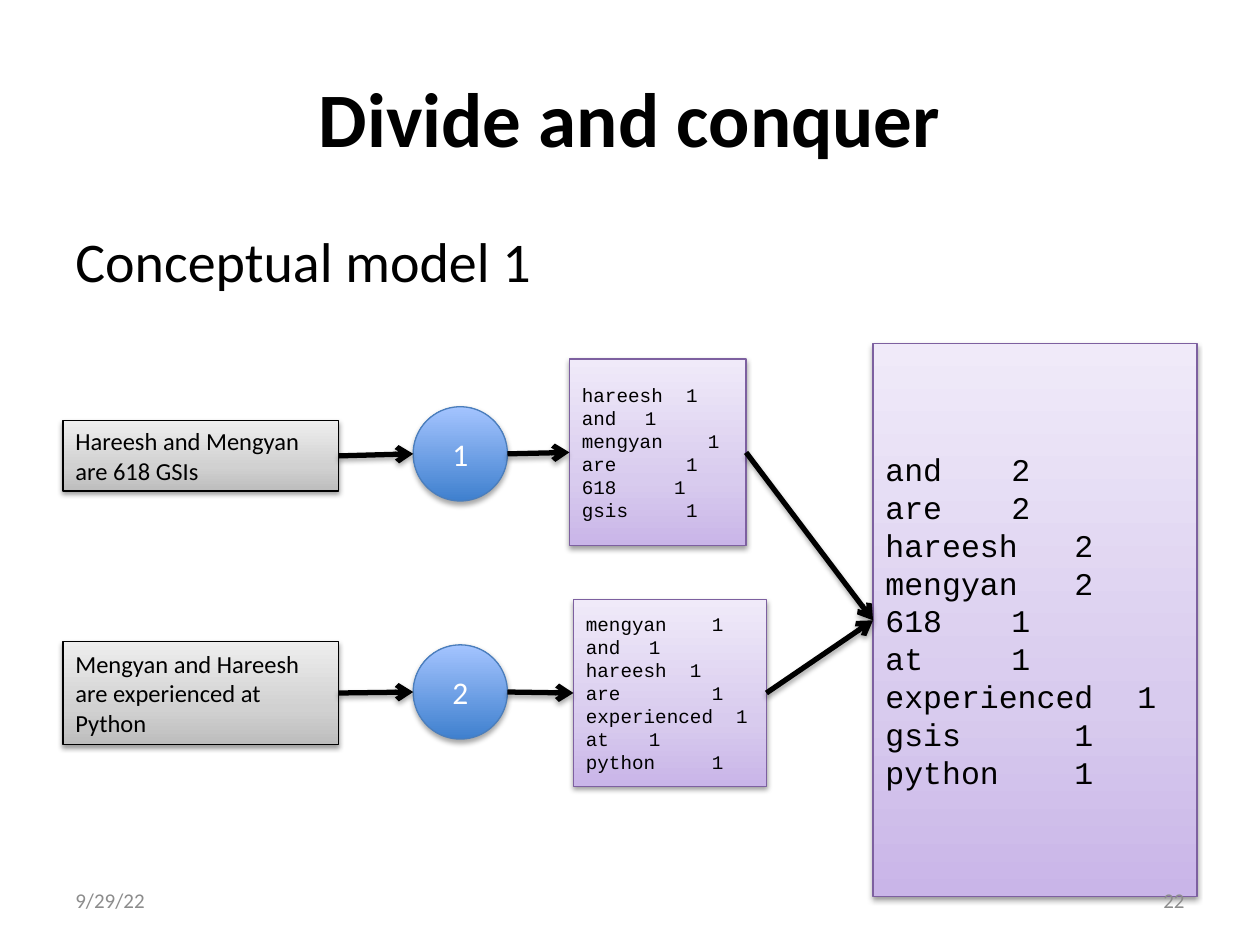
from copy import deepcopy
from dataclasses import dataclass

from lxml.etree import SubElement
from pptx import Presentation
from pptx.dml.color import RGBColor
from pptx.enum.shapes import MSO_CONNECTOR, MSO_SHAPE
from pptx.enum.text import MSO_ANCHOR, PP_ALIGN
from pptx.oxml.ns import qn
from pptx.util import Cm, Pt

COLORS = {"ink": "000000", "white": "FFFFFF", "footer": "8C8C8C",
          "purple": "7D60A0", "blue": "4B7EBC"}
GRADIENTS = {
    "gray": [(0, "BDBDBD"), (0.35, "D1D1D1"), (1, "EEEEEE")],
    "purple": [(0, "C9B5E8"), (0.35, "D8CBEE"), (1, "F0EAF9")],
    "blue": [(0, "3F80CE"), (1, "A4C4FF")],
}
SANS, MONO = "Calibri", "Courier New"
LEFT, RIGHT = 1, 3  # connection sites of a rectangle


@dataclass
class Style:
    preset: MSO_SHAPE
    gradient: str
    line: str
    shadow_alpha: int
    shadow_distance: float


@dataclass
class Box:
    left: float
    top: float
    width: float
    height: float


@dataclass
class Font:
    size: float
    name: str = SANS
    color: str = "ink"
    bold: bool = False


@dataclass
class Count:
    word: str
    number: int
    stop: float  # tab stop of the number, in cm


@dataclass
class Branch:
    sentence: str
    document: Box
    worker: Box
    table: Box
    counts: list[Count]


DOCUMENT = Style(MSO_SHAPE.RECTANGLE, "gray", "ink", 38, 1.6)
TABLE = Style(MSO_SHAPE.RECTANGLE, "purple", "purple", 38, 1.6)
WORKER = Style(MSO_SHAPE.OVAL, "blue", "blue", 35, 1.8)

BRANCHES = [
    Branch("Hareesh and Mengyan are 618 GSIs",
           Box(1.27, 8.48, 5.56, 1.42), Box(8.33, 8.2, 1.9, 1.9),
           Box(11.48, 7.24, 3.56, 3.76),
           [Count("hareesh", 1, 2.1), Count("and", 1, 1.27),
            Count("mengyan", 1, 2.54), Count("are", 1, 2.1),
            Count("618", 1, 1.86), Count("gsis", 1, 2.1)]),
    Branch("Mengyan and Hareesh are experienced at Python",
           Box(1.27, 12.93, 5.56, 2.08), Box(8.33, 13, 1.9, 1.9),
           Box(11.56, 12.09, 3.89, 3.76),
           [Count("mengyan", 1, 2.54), Count("and", 1, 1.27),
            Count("hareesh", 1, 2.1), Count("are", 1, 2.54),
            Count("experienced", 1, 3.03), Count("at", 1, 1.27),
            Count("python", 1, 2.54)]),
]
TOTALS = [
    Count("and", 2, 2.54), Count("are", 2, 2.54), Count("hareesh", 2, 3.81),
    Count("mengyan", 2, 3.81), Count("618", 1, 2.54), Count("at", 1, 2.54),
    Count("experienced", 1, 5.08), Count("gsis", 1, 3.81),
    Count("python", 1, 3.81),
]


def rgb(name: str) -> RGBColor:
    return RGBColor.from_string(COLORS[name])


def place(box: Box) -> list[int]:
    return [Cm(v) for v in (box.left, box.top, box.width, box.height)]


def add_shadow(shape, alpha: int, distance: float) -> None:
    effects = SubElement(shape._element.spPr, qn("a:effectLst"))
    shadow = SubElement(effects, qn("a:outerShdw"), blurRad=str(Pt(3.1)),
                        dist=str(Pt(distance)), dir="5400000", rotWithShape="0")
    color = SubElement(shadow, qn("a:srgbClr"), val=COLORS["ink"])
    SubElement(color, qn("a:alpha"), val=str(alpha * 1000))


def fill_gradient(shape, stops: list[tuple[float, str]]) -> None:
    shape.fill.gradient()
    shape.fill.gradient_angle = 90
    stop_list = next(shape._element.spPr.iter(qn("a:gsLst")))
    while len(stop_list) < len(stops):
        stop_list.append(deepcopy(stop_list[-1]))
    for stop, (position, color) in zip(shape.fill.gradient_stops, stops):
        stop.position = position
        stop.color.rgb = RGBColor.from_string(color)


def write(paragraph, text: str, font: Font, align=PP_ALIGN.LEFT) -> None:
    paragraph.alignment = align
    run = paragraph.add_run()
    run.text = text
    run.font.size, run.font.name, run.font.bold = Pt(font.size), font.name, font.bold
    run.font.color.rgb = rgb(font.color)


def add_label(slide, box: Box, text: str, font: Font, align=PP_ALIGN.LEFT,
              anchor=MSO_ANCHOR.MIDDLE) -> None:
    frame = slide.shapes.add_textbox(*place(box)).text_frame
    frame.word_wrap = True
    frame.vertical_anchor = anchor
    write(frame.paragraphs[0], text, font, align)


def add_node(slide, box: Box, style: Style):
    node = slide.shapes.add_shape(style.preset, *place(box))
    fill_gradient(node, style.gradient and GRADIENTS[style.gradient])
    node.line.color.rgb = rgb(style.line)
    node.line.width = Pt(0.75)
    add_shadow(node, style.shadow_alpha, style.shadow_distance)
    node.text_frame.word_wrap = True
    node.text_frame.vertical_anchor = MSO_ANCHOR.MIDDLE
    return node


def add_counts(slide, box: Box, counts: list[Count], size: float):
    node = add_node(slide, box, TABLE)
    frame = node.text_frame
    for i, count in enumerate(counts):
        row = frame.add_paragraph() if i else frame.paragraphs[0]
        write(row, f"{count.word}\t{count.number}", Font(size, MONO))
        tabs = SubElement(row._p.get_or_add_pPr(), qn("a:tabLst"))
        SubElement(tabs, qn("a:tab"), pos=str(Cm(count.stop)), algn="l")
    return node


def add_arrow(slide, source, target) -> None:
    arrow = slide.shapes.add_connector(
        MSO_CONNECTOR.STRAIGHT,
        source.left + source.width, source.top + source.height // 2,
        target.left, target.top + target.height // 2)
    if source.auto_shape_type == MSO_SHAPE.RECTANGLE:
        arrow.begin_connect(source, RIGHT)
    if target.auto_shape_type == MSO_SHAPE.RECTANGLE:
        arrow.end_connect(target, LEFT)
    arrow.line.color.rgb = rgb("ink")
    arrow.line.width = Pt(3)
    SubElement(arrow.line._get_or_add_ln(), qn("a:tailEnd"), type="arrow")
    add_shadow(arrow, 35, 1.8)


def main() -> None:
    deck = Presentation()
    deck.slide_width, deck.slide_height = Cm(25.4), Cm(19.05)
    slide = deck.slides.add_slide(deck.slide_layouts[6])

    # Headings
    add_label(slide, Box(1.27, 4.45, 10.19, 2.08), "Conceptual model 1",
              Font(32), anchor=MSO_ANCHOR.TOP)
    add_label(slide, Box(1.27, 0.76, 22.86, 3.18), "Divide and conquer",
              Font(44, bold=True), PP_ALIGN.CENTER)

    # Merged result, then one branch per document
    merged = add_counts(slide, Box(17.6, 6.93, 6.53, 11.15), TOTALS, 18)
    for number, branch in enumerate(BRANCHES, start=1):
        document = add_node(slide, branch.document, DOCUMENT)
        write(document.text_frame.paragraphs[0], branch.sentence, Font(14))
        worker = add_node(slide, branch.worker, WORKER)
        write(worker.text_frame.paragraphs[0], str(number),
              Font(18, color="white"), PP_ALIGN.CENTER)
        table = add_counts(slide, branch.table, branch.counts, 11)
        chain = [document, worker, table, merged]
        for source, target in zip(chain, chain[1:]):
            add_arrow(slide, source, target)

    # Footer
    small = Font(12, color="footer")
    add_label(slide, Box(1.27, 17.65, 5.93, 1.01), "9/29/22", small)
    add_label(slide, Box(18.2, 17.65, 5.93, 1.01), "22", small, PP_ALIGN.RIGHT)

    deck.save("out.pptx")


if __name__ == "__main__":
    main()
